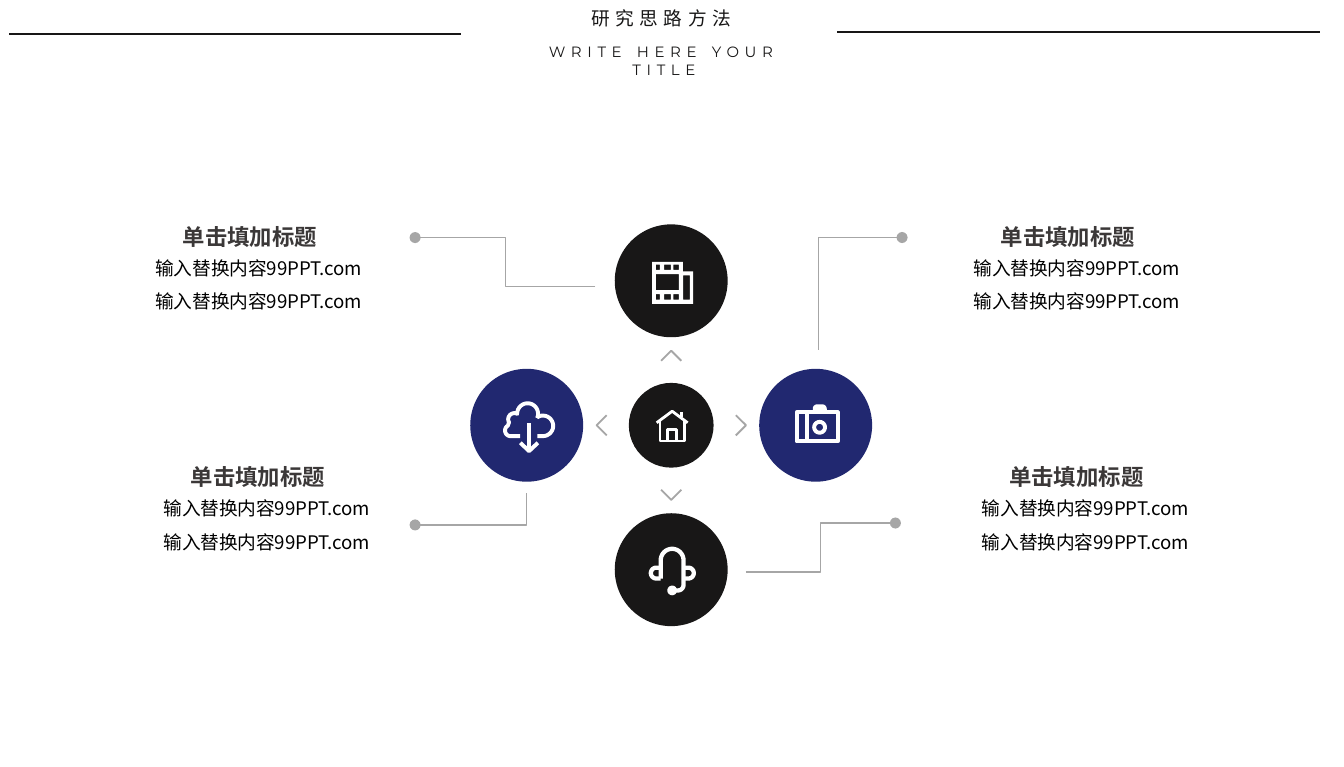
from math import cos, radians, sin

from lxml import etree
from pptx import Presentation
from pptx.dml.color import RGBColor
from pptx.enum.shapes import MSO_CONNECTOR, MSO_SHAPE
from pptx.enum.text import MSO_ANCHOR, MSO_AUTO_SIZE, PP_ALIGN
from pptx.oxml.ns import qn
from pptx.util import Pt

OVAL, STRAIGHT = MSO_SHAPE.OVAL, MSO_CONNECTOR.STRAIGHT
TOP, NO_FIT = MSO_ANCHOR.TOP, MSO_AUTO_SIZE.NONE
LEFT, CENTER = PP_ALIGN.LEFT, PP_ALIGN.CENTER
DARK, NAVY, GREY, WHITE, BLACK, HEADING = "181717", "212870", "A6A6A6", "FFFFFF", "000000", "3B3838"
CJK, LATIN = "Noto Sans CJK SC", "Montserrat"
COMPARISON_LAYOUT = 4


def arc(x, y, radius, start, end, steps=24):
    """Points on an arc; angles in degrees, clockwise from the right."""
    angles = [radians(start + (end - start) * i / steps) for i in range(steps + 1)]
    return [(x + radius * cos(a), y + radius * sin(a)) for a in angles]


def box(left, top, right, bottom):
    return [(left, top), (right, top), (right, bottom), (left, bottom), (left, top)]


TITLE, SUBTITLE = "研究思路方法", "WRITE HERE YOUR TITLE"
CARD_TITLE = "单击填加标题"
CARD_LINES = ["输入替换内容99PPT.com"] * 2
CARDS = [(61.2, 133.9), (65.5, 262.8), (499.5, 133.9), (504, 262.8)]  # left, top of body
RULES = [(5, 247, 18), (448.5, 707, 17.2)]  # from x, to x, y

HUB = (359.6, 227.9)
HUB_SIZE, NODE_SIZE = 45.4, 60.5
NODE_DISTANCE, CHEVRON_TIP, CHEVRON_DEPTH = 77.4, 40, 5.4

# Icon outlines are measured from the centre of their circle.
PERFORATIONS = [box(left, top, right, top + 2.9)
                for top in (-8.7, 7.2)
                for left, right in ((-8.2, -6), (-3.8, -0.2), (1.2, 4.2))]
FILM = {"solid": [[(-10.2, -10.2), (6.3, -10.2), (6.3, -5), (11.8, -5), (11.8, 12.3), (-10.2, 12.3)],
                  box(-8.2, -3.6, 4.2, 5), box(6.4, -2.9, 10, 10.1), *PERFORATIONS]}
CAMERA = {"width": 2.1,
          "strokes": [box(-10.2, -7, 11.8, 8.6), [(-4.7, -7), (-4.7, 8.6)], arc(2.1, 1.1, 2.9, 0, 360)],
          "solid": [[(-1.6, -7), *arc(0.8, -8.8, 2.4, 180, 270), *arc(3.5, -8.8, 2.4, 270, 360), (5.9, -7)]]}
HEADSET = {"width": 2.3,
           "strokes": [[(-5.6, 4.7), *arc(0.5, -5.1, 6.1, 180, 360), *arc(3.6, 8.1, 3, 0, 90), (2.6, 11.1)],
                       [(-5.6, -1.1), *arc(-8, 1.8, 2.9, 270, 90), (-5.6, 4.7)],
                       [(6.6, -1.1), *arc(9.2, 1.8, 2.9, -90, 90), (6.6, 4.7)]],
           "solid": [arc(0.5, 11.1, 2.6, 0, 360)]}
CLOUD = {"width": 2.1,
         "strokes": [[(-3.5, 5.8), *arc(-8.6, 2.8, 3, 90, 240), *arc(-6.6, -3.2, 3.3, 150, 300),
                      *arc(0.5, -6.2, 5.6, 180, 385)],
                     [*arc(8.7, 0.3, 5.5, 235, 450), (5.8, 5.8)],
                     [(1.3, -1), (1.3, 13.4)], [(-3.4, 9.4), (1.3, 13.8), (6, 9.4)]]}
HOUSE = {"width": 1.5,
         "strokes": [[(-7.8, -1.3), (0.5, -7.5), (8.8, -1.3)], [(5.3, -7), (5.3, -4.5)],
                     [(-6, -2), (-6, 8.5), (7, 8.5), (7, -2)],
                     [(-1.8, 8.5), (-1.8, 2.5), (2.8, 2.5), (2.8, 8.5)]]}
NODES = [((0, -1), DARK, FILM), ((1, 0), NAVY, CAMERA), ((0, 1), DARK, HEADSET), ((-1, 0), NAVY, CLOUD)]
LEADERS = [
    [(319, 153.4), (270.9, 153.4), (270.9, 127.3), (222.4, 127.3)],
    [(438.5, 187.4), (438.5, 127.3), (483.3, 127.3)],
    [(399.6, 306.5), (439.7, 306.5), (439.7, 280.3), (479.7, 280.3)],
    [(282.2, 264.2), (282.2, 281.3), (222.4, 281.3)],
]


def rgb(value):
    return RGBColor.from_string(value)


def place(shape, left, top, width, height):
    shape.left, shape.top, shape.width, shape.height = Pt(left), Pt(top), Pt(width), Pt(height)


def write(shape, lines, font, size, color, align=CENTER, bold=False, spacing=None,
          gap=0, line_spacing=None, wrap=True):
    frame = shape.text_frame
    frame.text = "\n".join(lines)
    frame.auto_size, frame.vertical_anchor, frame.word_wrap = NO_FIT, TOP, wrap
    for index, paragraph in enumerate(frame.paragraphs):
        paragraph.alignment = align
        paragraph.space_before = Pt(gap if index else 0)
        if line_spacing:
            paragraph.line_spacing = line_spacing
        if shape.is_placeholder:
            properties = paragraph._p.get_or_add_pPr()
            properties.set("marL", "0")
            properties.set("indent", "0")
            etree.SubElement(properties, qn("a:buNone"))
        for run in paragraph.runs:
            run.font.name, run.font.size, run.font.bold = font, Pt(size), bold
            run.font.color.rgb = rgb(color)
            run_properties = run._r.get_or_add_rPr()
            etree.SubElement(run_properties, qn("a:ea"), typeface=font)
            if spacing:
                run_properties.set("spc", str(spacing * 100))


def add_outline(shapes, contours, origin=(0, 0), fill=None, line=None, width=1.0):
    """Draw all contours as one freeform, closed when it is filled."""
    paths = [[(Pt(origin[0] + x), Pt(origin[1] + y)) for x, y in contour] for contour in contours]
    builder = shapes.build_freeform(*paths[0][0])
    for index, points in enumerate(paths):
        if index:
            builder.move_to(*points[0])
        builder.add_line_segments(points[1:], close=bool(fill))
    shape = builder.convert_to_shape()
    shape.shadow.inherit = False
    if fill:
        shape.fill.solid()
        shape.fill.fore_color.rgb = rgb(fill)
        shape.line.fill.background()
    else:
        shape.fill.background()
        shape.line.color.rgb = rgb(line)
        shape.line.width = Pt(width)
    return shape


def add_node(shapes, center, size, color, icon):
    x, y = center
    circle = shapes.add_shape(OVAL, Pt(x - size / 2), Pt(y - size / 2), Pt(size), Pt(size))
    circle.shadow.inherit = False
    circle.fill.solid()
    circle.fill.fore_color.rgb = rgb(color)
    circle.line.fill.background()
    if "strokes" in icon:
        add_outline(shapes, icon["strokes"], center, line=WHITE, width=icon["width"])
    if "solid" in icon:
        add_outline(shapes, icon["solid"], center, fill=WHITE)


def add_textbox(shapes, left, top, width, height):
    return shapes.add_textbox(Pt(left), Pt(top), Pt(width), Pt(height))


def main():
    presentation = Presentation()
    presentation.slide_width, presentation.slide_height = Pt(720), Pt(411)
    slide = presentation.slides.add_slide(presentation.slide_layouts[COMPARISON_LAYOUT])
    shapes = slide.shapes

    for start, end, y in RULES:
        rule = shapes.add_connector(STRAIGHT, Pt(start), Pt(y), Pt(end), Pt(y))
        rule.line.color.rgb = rgb(DARK)
        rule.line.width = Pt(1)
        etree.SubElement(rule._element.spPr, qn("a:effectLst"))

    place(shapes.title, 309.6, 0, 93.6, 19.4)
    write(shapes.title, [TITLE], CJK, 10, DARK, align=LEFT, spacing=3, wrap=False)
    subtitle = add_textbox(shapes, 280.8, 19.4, 149.8, 26.6)
    write(subtitle, [SUBTITLE], LATIN, 8, DARK, spacing=3)

    add_node(shapes, HUB, HUB_SIZE, DARK, HOUSE)
    for (dx, dy), color, icon in NODES:
        center = (HUB[0] + dx * NODE_DISTANCE, HUB[1] + dy * NODE_DISTANCE)
        add_node(shapes, center, NODE_SIZE, color, icon)
        base = CHEVRON_TIP - CHEVRON_DEPTH
        chevron = [(dx * along - dy * across, dy * along + dx * across)
                   for along, across in ((base, -CHEVRON_DEPTH), (CHEVRON_TIP, 0), (base, CHEVRON_DEPTH))]
        add_outline(shapes, [chevron], HUB, line=GREY)

    for points in LEADERS:
        leader = add_outline(shapes, [points], line=GREY, width=0.75)
        etree.SubElement(leader.line._get_or_add_ln(), qn("a:tailEnd"), type="oval")

    bodies = [holder for holder in slide.placeholders if holder.placeholder_format.idx > 0]
    for (left, top), body in zip(CARDS, bodies):
        place(body, left, top, 154.8, 37.4)
        write(body, CARD_LINES, CJK, 10, BLACK, gap=6)
        heading = add_textbox(shapes, left + 23.4, top - 17.3, 98.6, 16.6)
        frame = heading.text_frame
        frame.margin_left = frame.margin_right = frame.margin_top = frame.margin_bottom = 0
        write(heading, [CARD_TITLE], CJK, 12, HEADING, bold=True, line_spacing=1.2)

    presentation.save("out.pptx")


if __name__ == "__main__":
    main()
